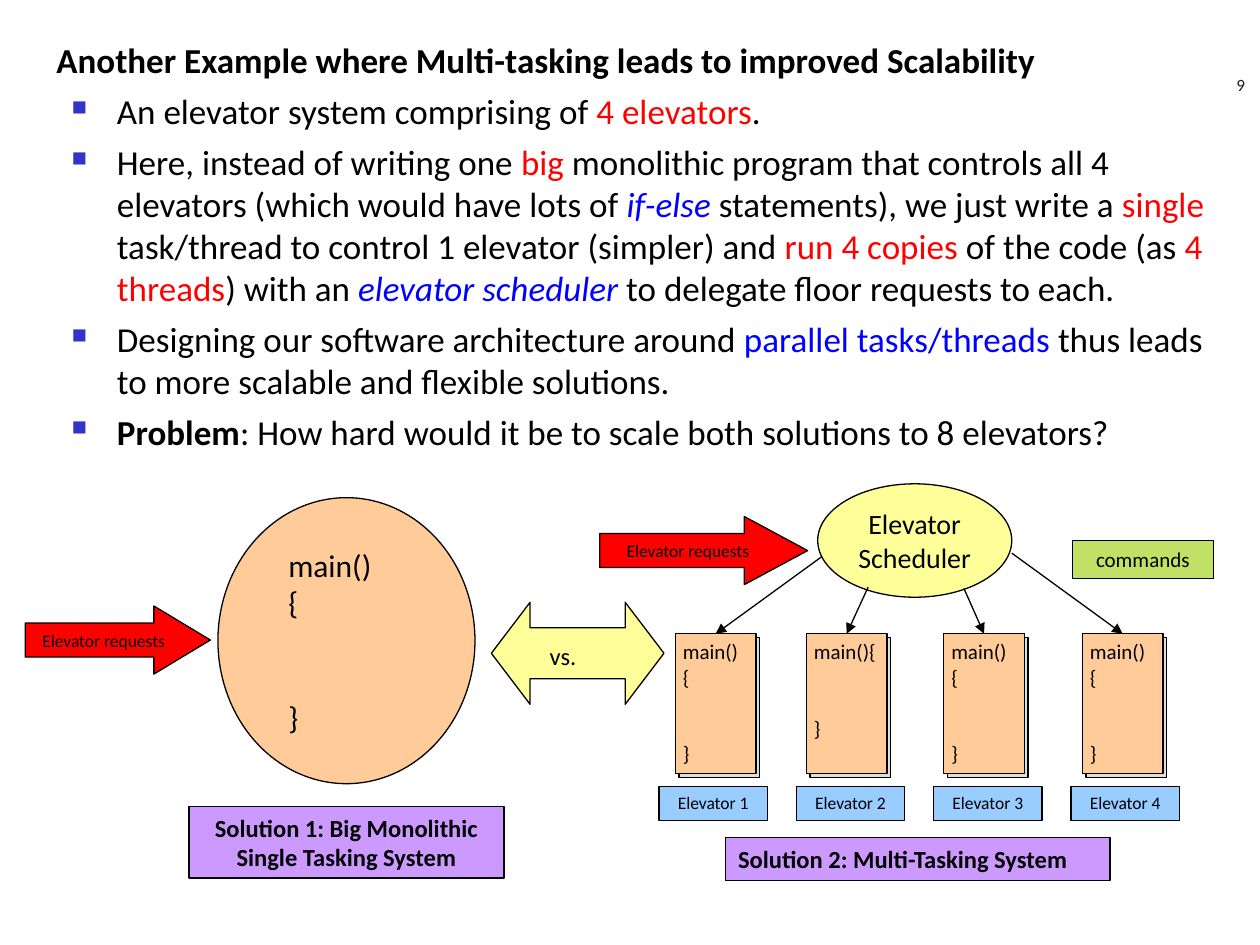
from dataclasses import dataclass

from lxml import etree
from pptx import Presentation
from pptx.dml.color import RGBColor
from pptx.enum.shapes import MSO_CONNECTOR, MSO_SHAPE
from pptx.enum.text import MSO_ANCHOR, PP_ALIGN
from pptx.oxml.ns import qn
from pptx.util import Inches, Pt

RECT, OVAL = MSO_SHAPE.RECTANGLE, MSO_SHAPE.OVAL
RIGHT_ARROW, DOUBLE_ARROW = MSO_SHAPE.RIGHT_ARROW, MSO_SHAPE.LEFT_RIGHT_ARROW
TOP, MIDDLE, BOTTOM = MSO_ANCHOR.TOP, MSO_ANCHOR.MIDDLE, MSO_ANCHOR.BOTTOM
LEFT, CENTER, RIGHT = PP_ALIGN.LEFT, PP_ALIGN.CENTER, PP_ALIGN.RIGHT
STRAIGHT = MSO_CONNECTOR.STRAIGHT


@dataclass(frozen=True)
class Theme:
    font: str = "Calibri"
    black: str = "000000"
    number: str = "1C1C1C"
    red: str = "FF0000"
    blue: str = "0000FF"
    bullet: str = "3333CC"
    orange: str = "FFCC99"
    yellow: str = "FFFF99"
    grey: str = "DDDDDD"
    sky: str = "99CCFF"
    purple: str = "CC99FF"
    green: str = "99CC00"
    body_size: float = 20
    program_size: float = 18
    scheduler_size: float = 16
    label_size: float = 14
    code_size: float = 12
    small_size: float = 10
    number_size: float = 9.8
    line_width: float = 0.75


@dataclass(frozen=True)
class Box:
    left: float
    top: float
    width: float
    height: float

    def inner(self, left, top, width, height):
        return Box(self.left + left, self.top + top, width, height)

    def lengths(self):
        return [Inches(v) for v in (self.left, self.top, self.width, self.height)]


THEME = Theme()
INSETS = (0.1, 0.05, 0.1, 0.05)
BULLETS = [
    [("An elevator system comprising of ", ""), ("4 elevators", "red"), (".", "")],
    [("Here, instead of writing one ", ""), ("big", "red"),
     (" monolithic program that controls all 4 elevators (which would have lots of ", ""),
     ("if-else", "term"), (" statements), we just write a ", ""), ("single", "red"),
     (" task/thread to control 1 elevator (simpler) and ", ""), ("run 4 copies ", "red"),
     ("of the code (as", ""), (" 4 threads", "red"), (") with an ", ""),
     ("elevator scheduler", "term"), (" to delegate floor requests to each.", "")],
    [("Designing our software architecture around ", ""), ("parallel tasks/threads ", "blue"),
     ("thus leads to more scalable and flexible solutions.", "")],
    [("Problem", "bold"), (": How hard would it be to scale both solutions to 8 elevators?", "")],
]


def add_span(para, text, size, color=THEME.black, bold=False, italic=False):
    span = para.add_run()
    span.text = text
    span.font.name = THEME.font
    span.font.size = Pt(size)
    span.font.color.rgb = RGBColor.from_string(color)
    span.font.bold = bold
    span.font.italic = italic


def set_frame(frame, anchor=TOP, insets=INSETS, wrap=True):
    frame.word_wrap = wrap
    frame.vertical_anchor = anchor
    frame.margin_left, frame.margin_top, frame.margin_right, frame.margin_bottom = map(Inches, insets)


def add_lines(frame, lines, size, align=CENTER, bold=False):
    for index, line in enumerate(lines):
        para = frame.paragraphs[0] if index == 0 else frame.add_paragraph()
        para.alignment = align
        add_span(para, line, size, bold=bold)


def add_code(frame, lines, size):
    add_lines(frame, lines, size, LEFT)
    frame.paragraphs[-1].space_before = Pt(2 * 1.22 * size)


def add_block(page, kind, box, fill, adjust=()):
    shape = page.shapes.add_shape(kind, *box.lengths())
    shape.shadow.inherit = False
    shape.fill.solid()
    shape.fill.fore_color.rgb = RGBColor.from_string(fill)
    shape.line.color.rgb = RGBColor.from_string(THEME.black)
    shape.line.width = Pt(THEME.line_width)
    for index, value in enumerate(adjust):
        shape.adjustments[index] = value
    return shape


def add_label(page, box, fill, text, size, align=CENTER, bold=False):
    label = add_block(page, RECT, box, fill)
    set_frame(label.text_frame)
    add_lines(label.text_frame, [text], size, align, bold)
    return label


def add_requests(page, box, head):
    arrow = add_block(page, RIGHT_ARROW, box, THEME.red, (0.5, head))
    set_frame(arrow.text_frame, MIDDLE)
    add_lines(arrow.text_frame, ["Elevator requests"], THEME.small_size)


def add_arrow(page, start, end):
    arrow = page.shapes.add_connector(STRAIGHT, *map(Inches, start + end))
    arrow.line.color.rgb = RGBColor.from_string(THEME.black)
    arrow.line.width = Pt(THEME.line_width)
    props = arrow._element.spPr
    etree.SubElement(props.find(qn("a:ln")), qn("a:tailEnd"), type="triangle")
    etree.SubElement(props, qn("a:effectLst"))


def add_bullet(para):
    props = para._p.get_or_add_pPr()
    props.set("marL", str(Inches(0.48)))
    props.set("indent", str(-Inches(0.36)))
    color = etree.SubElement(props, qn("a:buClr"))
    etree.SubElement(color, qn("a:srgbClr"), val=THEME.bullet)
    etree.SubElement(props, qn("a:buSzPct"), val="60000")
    etree.SubElement(props, qn("a:buChar"), char="■")


def add_page_number(page, box):
    frame = page.shapes.add_textbox(*box.lengths()).text_frame
    set_frame(frame, BOTTOM)
    frame.paragraphs[0].alignment = RIGHT
    add_span(frame.paragraphs[0], "9", THEME.number_size, THEME.number)


def add_body(page, box):
    styles = {"": {}, "red": {"color": THEME.red}, "blue": {"color": THEME.blue},
              "term": {"color": THEME.blue, "italic": True}, "bold": {"bold": True}}
    frame = page.shapes.add_textbox(*box.lengths()).text_frame
    set_frame(frame)
    add_lines(frame, ["Another Example where Multi-tasking leads to improved Scalability"],
              THEME.body_size, LEFT, True)
    for spans in BULLETS:
        para = frame.add_paragraph()
        add_bullet(para)
        para.space_before = Pt(5)
        for text, style in spans:
            add_span(para, text, THEME.body_size, **styles[style])


def add_single_tasking(page, box):
    program = add_block(page, OVAL, box.inner(1.53, 0, 2.04, 2.27), THEME.orange)
    set_frame(program.text_frame, MIDDLE, (0.26, 0.05, 0.1, 0.05))
    add_code(program.text_frame, ["main()", "{", "}"], THEME.program_size)
    add_requests(page, box.inner(0, 0.86, 1.47, 0.54), 0.83)
    add_label(page, box.inner(1.3, 2.45, 2.5, 0.57), THEME.purple,
              "Solution 1: Big Monolithic Single Tasking System", THEME.label_size, bold=True)


def add_versus(page, box):
    arrow = add_block(page, DOUBLE_ARROW, box, THEME.yellow, (0.5, 0.38))
    set_frame(arrow.text_frame, MIDDLE, (0.1, 0.08, 0.33, 0.05))
    add_lines(arrow.text_frame, ["vs."], THEME.label_size)


def add_multi_tasking(page, box):
    scheduler = add_block(page, OVAL, box.inner(1.73, 0, 1.54, 0.9), THEME.yellow)
    set_frame(scheduler.text_frame, MIDDLE, wrap=False)
    add_lines(scheduler.text_frame, ["Elevator", "Scheduler"], THEME.scheduler_size)
    starts = [(1.76, 0.58), (2.13, 0.82), (2.89, 0.83), (3.27, 0.55)]
    for index, (start, left) in enumerate(zip(starts, [0.6, 1.64, 2.73, 3.83])):
        card = box.inner(left, 1.19, 0.64, 1.11)
        add_block(page, RECT, card.inner(0.03, 0.03, card.width, card.height), THEME.grey)
        thread = add_block(page, RECT, card, THEME.orange)
        set_frame(thread.text_frame, insets=(0.06, 0.04, 0, 0))
        add_code(thread.text_frame, ["main(){", "}"] if index == 1 else ["main()", "{", "}"],
                 THEME.code_size)
        add_arrow(page, (box.left + start[0], box.top + start[1]),
                  (card.left + card.width / 2, card.top))
        add_label(page, box.inner(0.47 + 1.09 * index, 2.4, 0.86, 0.27), THEME.sky,
                  f"Elevator {index + 1}", THEME.small_size)
    add_label(page, box.inner(1, 2.81, 3.05, 0.34), THEME.purple,
              "Solution 2: Multi-Tasking System", THEME.label_size, LEFT, True)
    add_requests(page, box.inner(0, 0.26, 1.65, 0.54), 0.93)
    commands = add_label(page, box.inner(3.75, 0.45, 1.12, 0.3), THEME.green,
                         "commands", THEME.code_size)
    color = commands._element.spPr.find(qn("a:solidFill")).find(qn("a:srgbClr"))
    etree.SubElement(color, qn("a:alpha"), val="60000")


def main():
    deck = Presentation()
    deck.slide_width, deck.slide_height = Inches(10), Inches(7.5)
    page = deck.slides.add_slide(deck.slide_layouts[6])
    add_page_number(page, Box(7.9, 0.52, 2.08, 0.28))
    add_body(page, Box(0.35, 0.26, 9.44, 6.52))
    add_single_tasking(page, Box(0.2, 3.95, 3.8, 3.02))
    add_versus(page, Box(3.9, 4.78, 1.37, 0.81))
    add_multi_tasking(page, Box(4.76, 3.84, 4.87, 3.15))
    deck.save("out.pptx")


if __name__ == "__main__":
    main()
